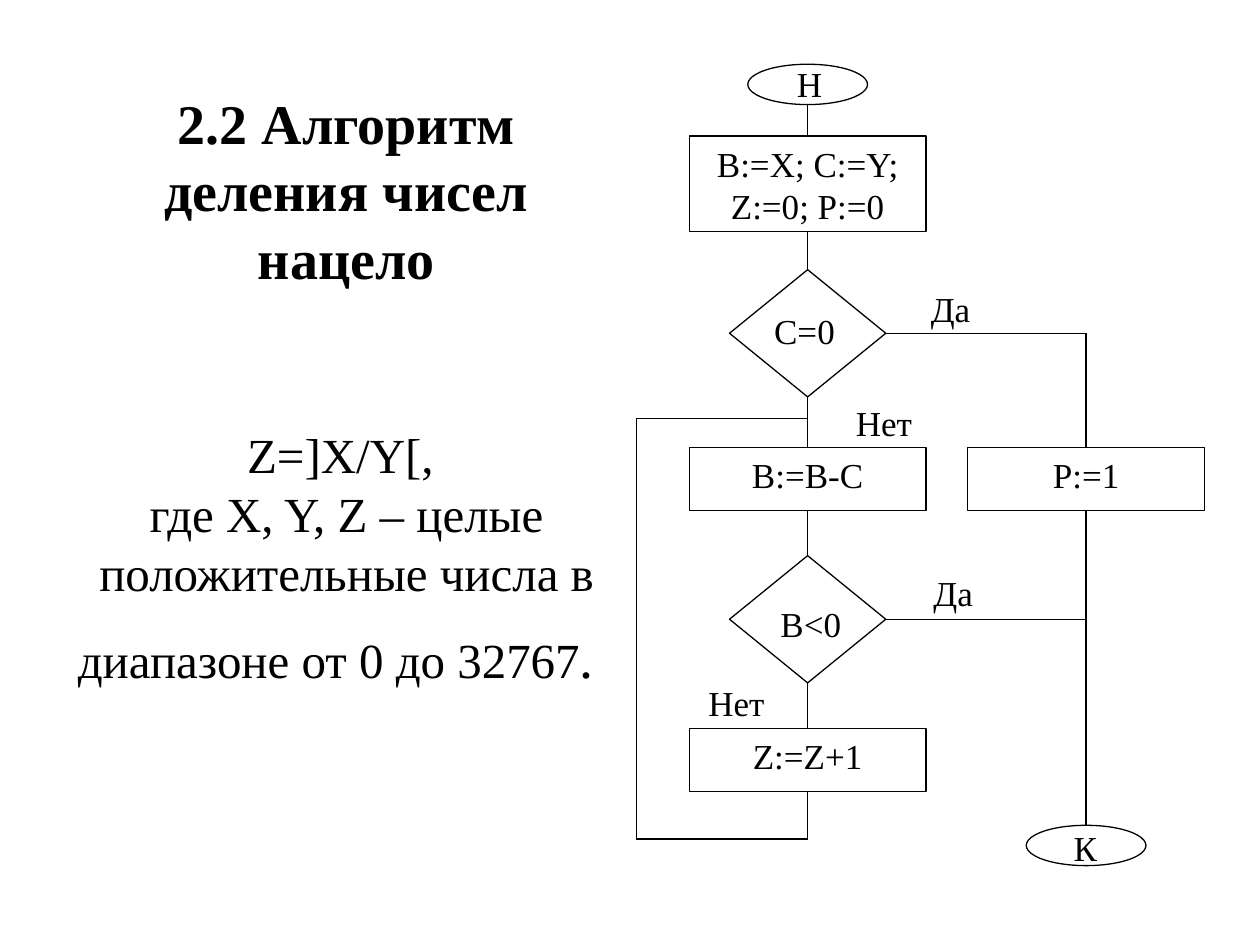
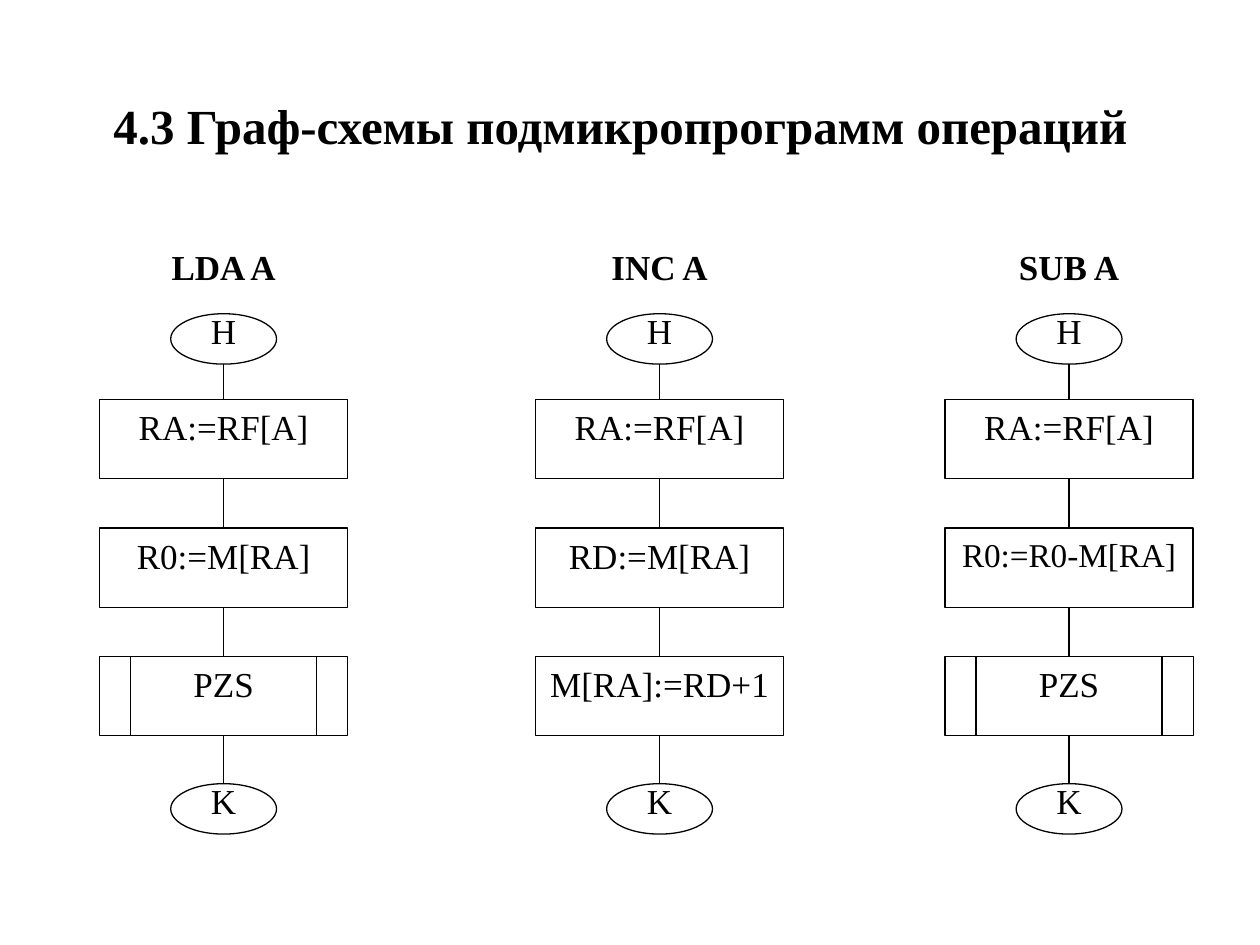
from dataclasses import dataclass
from itertools import pairwise
from typing import Any

from lxml.etree import SubElement
from pptx import Presentation
from pptx.dml.color import RGBColor
from pptx.enum.shapes import MSO_CONNECTOR, MSO_SHAPE
from pptx.enum.text import MSO_ANCHOR, MSO_AUTO_SIZE, PP_ALIGN
from pptx.oxml.ns import qn
from pptx.util import Inches, Pt

COLORS = {"ink": "000000"}
SERIF, SANS = "Times New Roman", "Arial"
COLUMNS, ROWS = 100, 75
SLIDE_WIDTH, SLIDE_HEIGHT = Inches(10), Inches(7.5)
TITLE_ONLY = 5
TOP, BOTTOM, RIGHT = 0, 2, 3
OPERATIONS = [
    (7.9, "LDA A", ["RA:=RF[A]", "R0:=M[RA]", "PZS"]),
    (42.5, "INC A", ["RA:=RF[A]", "RD:=M[RA]", "M[RA]:=RD+1"]),
    (75, "SUB A", ["RA:=RF[A]", "R0:=R0-M[RA]", "PZS"]),
]


def across(columns):
    return round(columns * SLIDE_WIDTH / COLUMNS)


def down(rows):
    return round(rows * SLIDE_HEIGHT / ROWS)


def add_run(paragraph, text, size, bold=False, font=SERIF):
    run = paragraph.add_run()
    run.text = text
    run.font.name, run.font.size, run.font.bold = font, Pt(size), bold
    run.font.color.rgb = RGBColor.from_string(COLORS["ink"])


def write(shape, lines, size=20, bold=False):
    frame = shape.text_frame
    frame.word_wrap = True
    frame.vertical_anchor = MSO_ANCHOR.TOP
    for index, line in enumerate(lines):
        paragraph = frame.add_paragraph() if index else frame.paragraphs[0]
        paragraph.alignment = PP_ALIGN.CENTER
        add_run(paragraph, line, size, bold)


def draw_line(line):
    line.color.rgb = RGBColor.from_string(COLORS["ink"])
    line.width = Pt(0.75)


@dataclass
class Region:
    """Part of the slide grid; flowchart parts are centred on a given column."""
    slide: Any
    left: float
    top: float

    def point(self, column, row):
        return across(self.left + column), down(self.top + row)

    def box(self, center, row, width, height):
        return *self.point(center - width / 2, row), across(width), down(height)

    def block(self, kind, center, row, width, height, lines=(), size=20):
        shape = self.slide.shapes.add_shape(kind, *self.box(center, row, width, height))
        shape.shadow.inherit = False
        shape.fill.background()
        draw_line(shape.line)
        write(shape, lines, size)
        return shape

    def caption(self, text, center, row, width, height, bold=False):
        textbox = self.slide.shapes.add_textbox(*self.box(center, row, width, height))
        write(textbox, [text], bold=bold)

    def link(self, start, end):
        """Each end is a (shape, side) pair or a (column, row) point."""
        ends = [(0, 0) if hasattr(place[0], "shape_id") else self.point(*place)
                for place in (start, end)]
        connector = self.slide.shapes.add_connector(MSO_CONNECTOR.STRAIGHT, *ends[0], *ends[1])
        for place, connect in ((start, connector.begin_connect), (end, connector.end_connect)):
            if hasattr(place[0], "shape_id"):
                connect(*place)
        draw_line(connector.line)
        properties = connector.element.find(qn("p:spPr"))
        SubElement(properties, qn("a:effectLst"))

    def chain(self, blocks):
        for upper, lower in pairwise(blocks):
            self.link((upper, BOTTOM), (lower, TOP))


def add_title_slide(presentation, left, top, width, height):
    slide = presentation.slides.add_slide(presentation.slide_layouts[TITLE_ONLY])
    title = slide.shapes.title
    title.left, title.top = across(left), down(top)
    title.width, title.height = across(width), down(height)
    frame = title.text_frame
    frame.word_wrap = True
    frame.auto_size = MSO_AUTO_SIZE.NONE
    frame.vertical_anchor = MSO_ANCHOR.MIDDLE
    frame.paragraphs[0].alignment = PP_ALIGN.CENTER
    return slide, frame


def division_flowchart(slide, left, top):
    region = Region(slide, left, top)
    spine, side = 13.6, 35.7
    loop_top, loop_bottom = 28.7, 62.1

    def step(lines, center, row, height=5):
        return region.block(MSO_SHAPE.RECTANGLE, center, row, 18.8, height, lines)

    def decision(row):
        return region.block(MSO_SHAPE.DIAMOND, spine, row, 12.4, 10.1)

    def terminal(center, row):
        return region.block(MSO_SHAPE.OVAL, center, row, 9.5, 3.2)

    terminal(spine, 0.6)
    setup = step(["B:=X; C:=Y;", "Z:=0; P:=0"], spine, 6.3, 7.6)
    zero_check = decision(16.9)
    subtract = step(["B:=B-C"], spine, 31)
    negative_check = decision(39.6)
    count = step(["Z:=Z+1"], spine, 53.3)
    overflow = step(["P:=1"], side, 31)
    finish = terminal(side, 61)

    region.link((spine, 3.8), (setup, TOP))
    region.chain([setup, zero_check, subtract, negative_check, count])
    region.chain([overflow, finish])
    zero_row, negative_row = 16.9 + 10.1 / 2, 39.6 + 10.1 / 2
    region.link((zero_check, RIGHT), (side, zero_row))
    region.link((side, zero_row), (overflow, TOP))
    region.link((negative_check, RIGHT), (side, negative_row))
    region.link((count, BOTTOM), (spine, loop_bottom))
    for start, end in pairwise([(spine, loop_bottom), (0, loop_bottom),
                                (0, loop_top), (spine, loop_top)]):
        region.link(start, end)

    for text, center, row in [
        ("Н", 13.75, 0), ("C=0", 13.35, 19.6), ("Да", 24.95, 17.8), ("Нет", 19.65, 26.9),
        ("B<0", 13.85, 42.8), ("Да", 25.15, 40.4), ("Нет", 7.95, 49.1), ("К", 35.65, 60.6),
    ]:
        region.caption(text, center, row, 12.7, 4.4)


def operation_flowchart(slide, left, top, name, steps):
    region = Region(slide, left, top)
    width, height, pitch, first_row = 19.7, 6.3, 10.2, 12.7
    center = width / 2
    region.caption(name, center, 0, 11.2, 5.6, bold=True)
    ovals = []
    for text, row in (("Н", 5.9), ("K", 43.2)):
        ovals.append(region.block(MSO_SHAPE.OVAL, center, row, 8.4, 4))
        region.caption(text, center, row - 0.8, 11.2, 5.6)
    blocks = []
    for index, text in enumerate(steps):
        kind = MSO_SHAPE.FLOWCHART_PREDEFINED_PROCESS if text == "PZS" else MSO_SHAPE.RECTANGLE
        size = 19 if text == "R0:=R0-M[RA]" else 20
        blocks.append(region.block(kind, center, first_row + index * pitch,
                                   width, height, [text], size))
    region.link((center, 9.9), (blocks[0], TOP))
    region.chain([*blocks, ovals[1]])


def division_slide(presentation):
    slide, frame = add_title_slide(presentation, 5, 2, 45, 58.1)
    add_run(frame.paragraphs[0], "2.2 Алгоритм деления чисел нацело", 32, bold=True)
    formula = frame.add_paragraph()
    formula.alignment = PP_ALIGN.CENTER
    formula.space_before = Pt(77)
    add_run(formula, "Z=]X/Y[, ", 28)
    formula.add_line_break()
    add_run(formula, "где X, Y, Z – целые положительные числа в диапазоне от 0 до 32767", 28)
    add_run(formula, ".", 32)
    add_run(formula, " ", 44, font=SANS)
    division_flowchart(slide, 50.5, 4.5)


def operations_slide(presentation):
    slide, frame = add_title_slide(presentation, 5, 3, 90, 12.5)
    heading = frame.paragraphs[0]
    add_run(heading, "4.3 Граф-схемы подмикропрограмм операций", 28, bold=True)
    add_run(heading, " ", 40, font=SANS)
    for left, name, steps in OPERATIONS:
        operation_flowchart(slide, left, 19, name, steps)


def main():
    presentation = Presentation()
    presentation.slide_width, presentation.slide_height = SLIDE_WIDTH, SLIDE_HEIGHT
    division_slide(presentation)
    operations_slide(presentation)
    presentation.save("out.pptx")


if __name__ == "__main__":
    main()
